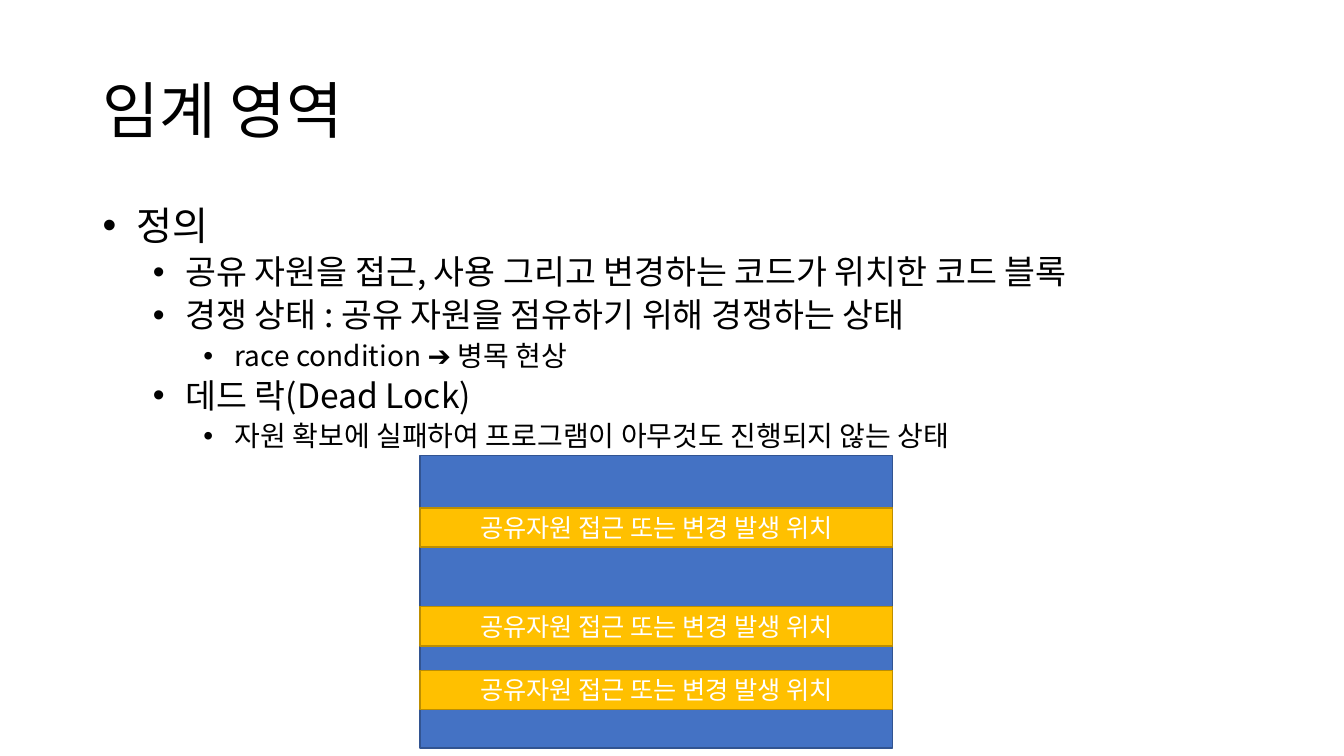
from lxml.etree import SubElement
from pptx import Presentation
from pptx.dml.color import RGBColor
from pptx.enum.shapes import MSO_SHAPE
from pptx.enum.text import MSO_ANCHOR, MSO_AUTO_SIZE as AutoSize, PP_ALIGN
from pptx.oxml.ns import qn
from pptx.util import Cm, Pt

FONT = "Noto Sans CJK KR"
BLACK = RGBColor(0x00, 0x00, 0x00)
WHITE = RGBColor(0xFF, 0xFF, 0xFF)
BLUE = RGBColor(0x44, 0x72, 0xC4)
BLUE_EDGE = RGBColor(0x32, 0x54, 0x91)
GOLD = RGBColor(0xFF, 0xC0, 0x00)
GOLD_EDGE = RGBColor(0xBD, 0x8E, 0x00)

TITLE = "임계 영역"
POINTS = [  # (level, text)
    (0, " 정의"),
    (1, " 공유 자원을 접근, 사용 그리고 변경하는 코드가 위치한 코드 블록"),
    (1, " 경쟁 상태 : 공유 자원을 점유하기 위해 경쟁하는 상태"),
    (2, " race condition ➔ 병목 현상"),
    (1, " 데드 락(Dead Lock)"),
    (2, " 자원 확보에 실패하여 프로그램이 아무것도 진행되지 않는 상태"),
]
LEVEL_SIZES = [28, 24, 20]
LEVEL_SPACING = [10, 5, 5]
BAND_TEXT = "공유자원 접근 또는 변경 발생 위치"
BAND_TOPS = [12.8, 15.29, 16.89]
BLOCK_LEFT, BLOCK_TOP, BLOCK_WIDTH, BLOCK_HEIGHT = 10.59, 11.48, 11.91, 7.37
BAND_HEIGHT = 0.99
INDENT, LEVEL_STEP = 0.635, 1.27


def add_span(para, text, size, color):
    span = para.add_run()
    span.text = text
    span.font.size = Pt(size)
    span.font.name = FONT
    span.font.color.rgb = color
    SubElement(span._r.get_or_add_rPr(), qn("a:ea")).set("typeface", FONT)


def place(shape, left, top, width, height):
    shape.left, shape.top = Cm(left), Cm(top)
    shape.width, shape.height = Cm(width), Cm(height)


def set_bullet(para, level):
    properties = para._p.get_or_add_pPr()
    properties.set("marL", str(Cm(INDENT + level * LEVEL_STEP)))
    properties.set("indent", str(-Cm(INDENT)))
    SubElement(properties, qn("a:buFont")).set("typeface", "Arial")
    SubElement(properties, qn("a:buChar")).set("char", "•")


def add_box(page, top, height, fill, edge):
    box = page.shapes.add_shape(MSO_SHAPE.RECTANGLE, Cm(BLOCK_LEFT), Cm(top),
                                Cm(BLOCK_WIDTH), Cm(height))
    box.shadow.inherit = False
    box.fill.solid()
    box.fill.fore_color.rgb = fill
    box.line.color.rgb = edge
    box.line.width = Pt(1)
    return box


def main():
    deck = Presentation()
    deck.slide_width, deck.slide_height = Cm(33.87), Cm(19.05)
    page = deck.slides.add_slide(deck.slide_layouts[1])

    title = page.shapes.title
    place(title, 2.33, 1.01, 29.21, 3.68)
    title.text_frame.vertical_anchor = MSO_ANCHOR.MIDDLE
    para = title.text_frame.paragraphs[0]
    para.alignment = PP_ALIGN.LEFT
    para.line_spacing = 0.9
    add_span(para, TITLE, 44, BLACK)

    body = page.placeholders[1]
    place(body, 2.33, 5.07, 29.21, 12.09)
    frame = body.text_frame
    frame.auto_size = AutoSize.TEXT_TO_FIT_SHAPE
    for index, (level, text) in enumerate(POINTS):
        para = frame.add_paragraph() if index else frame.paragraphs[0]
        para.level = level
        para.line_spacing = 0.9
        para.space_before = Pt(LEVEL_SPACING[level])
        set_bullet(para, level)
        add_span(para, text, LEVEL_SIZES[level], BLACK)

    add_box(page, BLOCK_TOP, BLOCK_HEIGHT, BLUE, BLUE_EDGE)
    for top in BAND_TOPS:
        band = add_box(page, top, BAND_HEIGHT, GOLD, GOLD_EDGE)
        band.text_frame.vertical_anchor = MSO_ANCHOR.MIDDLE
        para = band.text_frame.paragraphs[0]
        para.alignment = PP_ALIGN.CENTER
        add_span(para, BAND_TEXT, 18, WHITE)

    deck.save("out.pptx")


if __name__ == "__main__":
    main()
